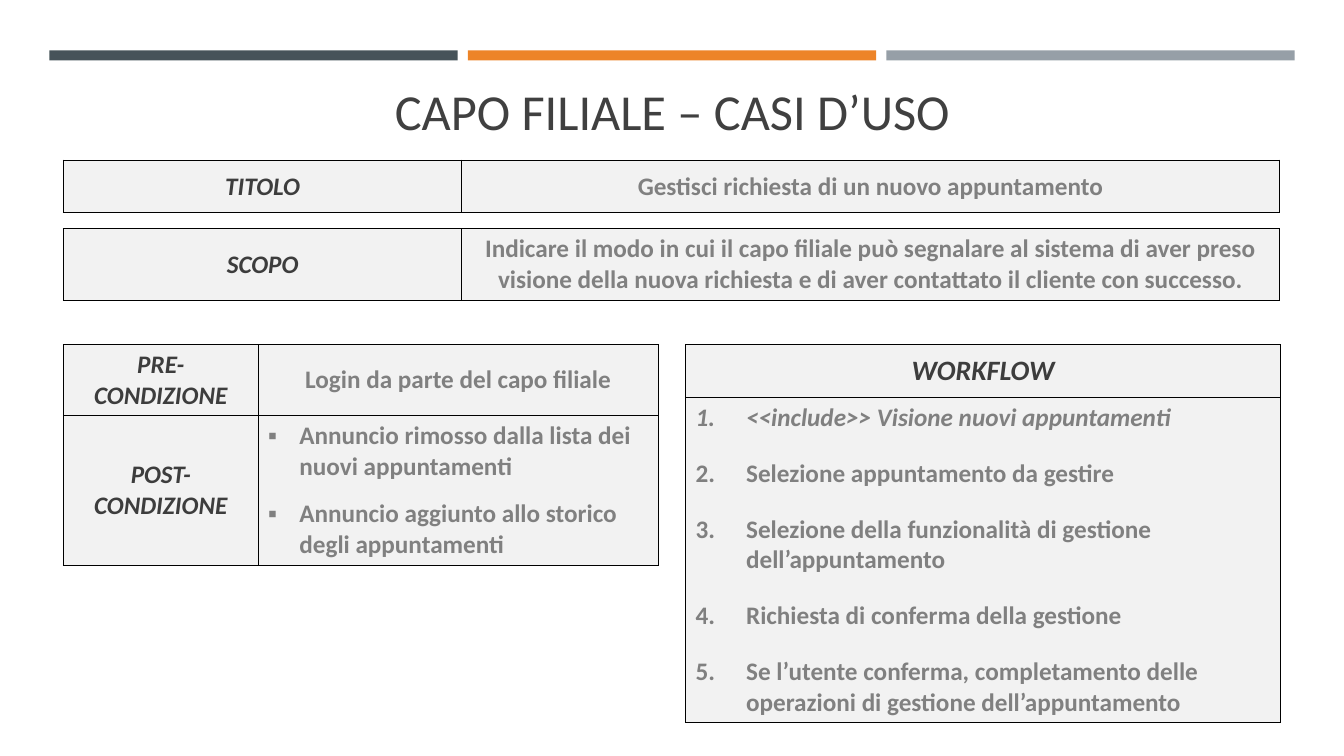
from dataclasses import dataclass

import lxml.etree
import pptx
import pptx.dml.color
import pptx.enum.shapes
import pptx.enum.text
import pptx.oxml.ns
import pptx.util

Inches = pptx.util.Inches
Pt = pptx.util.Pt
Align = pptx.enum.text.PP_ALIGN
Anchor = pptx.enum.text.MSO_ANCHOR
qn = pptx.oxml.ns.qn


@dataclass(frozen=True)
class Theme:
    font: str = "Calibri"
    title: str = "404040"
    label: str = "3D3D3D"
    body: str = "808080"
    cell: str = "F2F2F2"
    border: str = "000000"
    bars: tuple[str, ...] = ("465359", "ED8428", "969FA7")
    title_size: int = 36
    heading_size: int = 20
    text_size: int = 18


THEME = Theme()


@dataclass(frozen=True)
class Item:
    text: str
    color: str = THEME.body
    size: int = THEME.text_size
    bold: bool = True
    italic: bool = False
    bullet: str = ""
    indent: float = 0
    space_after: float = 0


@dataclass(frozen=True)
class Grid:
    left: float
    top: float
    columns: tuple[float, ...]
    rows: tuple[float, ...]
    cells: tuple[tuple[tuple[Item, ...], ...], ...]


def label(text: str, size: int = THEME.text_size) -> tuple[Item, ...]:
    return (Item(text, THEME.label, size, italic=True),)


def step(text: str, italic: bool = False, space_after: float = 18) -> Item:
    return Item(text, italic=italic, bullet="number", indent=0.5, space_after=space_after)


def outcome(text: str, space_after: float) -> Item:
    return Item(text, bullet="▪", indent=0.31, space_after=space_after)


LEFT = 0.63
LOWER_TOP = 3.42
WIDE_COLUMNS = (3.95, 8.11)

GRIDS = (
    Grid(LEFT, 1.59, WIDE_COLUMNS, (0.52,), (
        (label("TITOLO"), (Item("Gestisci richiesta di un nuovo appuntamento"),)),
    )),
    Grid(LEFT, 2.27, WIDE_COLUMNS, (0.71,), (
        (label("SCOPO"), (Item(
            "Indicare il modo in cui il capo filiale può segnalare al sistema di aver preso "
            "visione della nuova richiesta e di aver contattato il cliente con successo."),)),
    )),
    Grid(LEFT, LOWER_TOP, (1.93, 3.97), (0.7, 1.49), (
        (label("PRE-CONDIZIONE"), (Item("Login da parte del capo filiale"),)),
        (label("POST-CONDIZIONE"), (
            outcome("Annuncio rimosso dalla lista dei nuovi appuntamenti", 12),
            outcome("Annuncio aggiunto allo storico degli appuntamenti", 6),
        )),
    )),
    Grid(6.8, LOWER_TOP, (5.9,), (0.52, 3.23), (
        (label("WORKFLOW", THEME.heading_size),),
        ((
            step("<<include>> Visione nuovi appuntamenti", italic=True),
            step("Selezione appuntamento da gestire"),
            step("Selezione della funzionalità di gestione dell’appuntamento"),
            step("Richiesta di conferma della gestione"),
            step("Se l’utente conferma, completamento delle operazioni di gestione "
                 "dell’appuntamento", space_after=6),
        ),),
    )),
)


def rgb(color: str) -> pptx.dml.color.RGBColor:
    return pptx.dml.color.RGBColor.from_string(color)


def write_items(frame: pptx.text.text.TextFrame, items: tuple[Item, ...]) -> None:
    frame.word_wrap = True
    for index, item in enumerate(items):
        paragraph = frame.add_paragraph() if index else frame.paragraphs[0]
        paragraph.alignment = Align.LEFT if item.bullet else Align.CENTER
        paragraph.space_after = Pt(item.space_after)
        if item.bullet:
            add_bullet(paragraph, item)
        run = paragraph.add_run()
        run.text = item.text
        run.font.name = THEME.font
        run.font.size = Pt(item.size)
        run.font.bold = item.bold
        run.font.italic = item.italic
        run.font.color.rgb = rgb(item.color)


def add_bullet(paragraph: pptx.text.text._Paragraph, item: Item) -> None:
    properties = paragraph._p.get_or_add_pPr()
    properties.set("marL", str(Inches(item.indent)))
    properties.set("indent", str(-Inches(item.indent)))
    lxml.etree.SubElement(properties, qn("a:buFont"), typeface=THEME.font)
    if item.bullet == "number":
        lxml.etree.SubElement(properties, qn("a:buAutoNum"), type="arabicPeriod")
    else:
        lxml.etree.SubElement(properties, qn("a:buChar"), char=item.bullet)


def add_borders(cell: pptx.table._Cell) -> None:
    properties = cell._tc.get_or_add_tcPr()
    for side in ("lnL", "lnR", "lnT", "lnB"):
        line = lxml.etree.SubElement(properties, qn(f"a:{side}"), w=str(Pt(1)))
        fill = lxml.etree.SubElement(line, qn("a:solidFill"))
        lxml.etree.SubElement(fill, qn("a:srgbClr"), val=THEME.border)


def draw_grid(slide: pptx.slide.Slide, grid: Grid) -> None:
    table = slide.shapes.add_table(
        len(grid.rows), len(grid.columns), Inches(grid.left), Inches(grid.top),
        Inches(sum(grid.columns)), Inches(sum(grid.rows))).table
    table.first_row = False
    table.horz_banding = False
    for column, width in zip(table.columns, grid.columns):
        column.width = Inches(width)
    for row, height, contents in zip(table.rows, grid.rows, grid.cells):
        row.height = Inches(height)
        for cell, items in zip(row.cells, contents):
            add_borders(cell)
            cell.fill.solid()
            cell.fill.fore_color.rgb = rgb(THEME.cell)
            cell.vertical_anchor = Anchor.MIDDLE
            write_items(cell.text_frame, items)


def draw_bars(slide: pptx.slide.Slide) -> None:
    for index, color in enumerate(THEME.bars):
        bar = slide.shapes.add_shape(
            pptx.enum.shapes.MSO_SHAPE.RECTANGLE,
            Inches(0.49 + index * 4.15), Inches(0.5), Inches(4.05), Inches(0.1))
        bar.shadow.inherit = False
        bar.fill.solid()
        bar.fill.fore_color.rgb = rgb(color)
        bar.line.fill.background()


def draw_title(slide: pptx.slide.Slide) -> None:
    frame = slide.shapes.add_textbox(
        Inches(0.64), Inches(0.62), Inches(12.06), Inches(0.82)).text_frame
    frame.vertical_anchor = Anchor.BOTTOM
    write_items(frame, (Item("CAPO FILIALE – CASI D’USO", THEME.title,
                             THEME.title_size, bold=False),))


def main() -> None:
    presentation = pptx.Presentation()
    presentation.slide_width = Inches(13.33)
    presentation.slide_height = Inches(7.5)
    slide = presentation.slides.add_slide(presentation.slide_layouts[6])
    draw_bars(slide)
    draw_title(slide)
    for grid in GRIDS:
        draw_grid(slide, grid)
    presentation.save("out.pptx")


if __name__ == "__main__":
    main()
